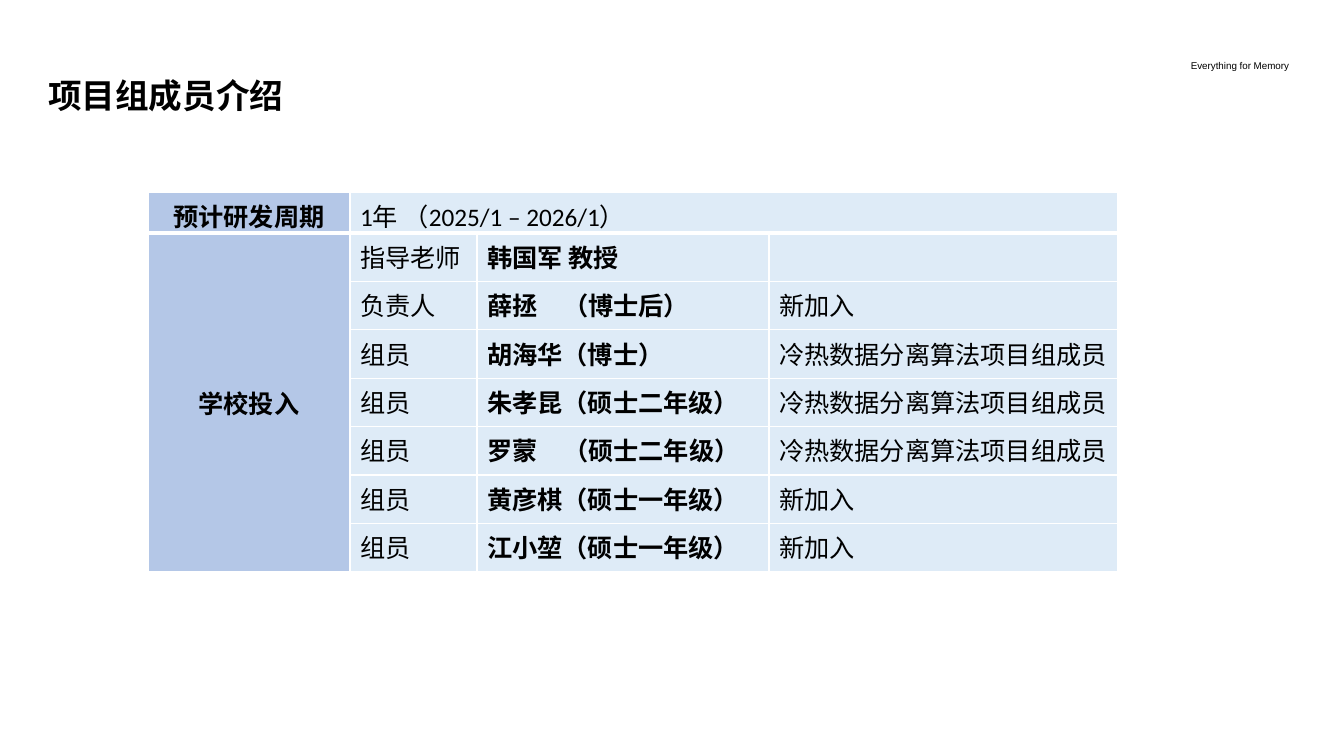
from pptx import Presentation
from pptx.dml.color import RGBColor
from pptx.enum.text import MSO_ANCHOR as Anchor, MSO_AUTO_SIZE as AutoSize, PP_ALIGN as Align
from pptx.oxml.ns import qn
from pptx.util import Emu, Pt
from lxml.etree import SubElement

SCALE = 914400 / 100.8
BLACK = RGBColor(0x00, 0x00, 0x00)
WHITE = RGBColor(0xFF, 0xFF, 0xFF)
HEAD_BLUE = RGBColor(0xB4, 0xC7, 0xE7)
PALE_BLUE = RGBColor(0xDE, 0xEB, 0xF7)
CJK = "Noto Sans CJK SC"

TITLE_FONT = {"name": CJK, "size": Pt(24), "bold": True}
SLOGAN_FONT = {"name": "Arial", "size": Pt(7), "bold": False}
PLAIN_FONT = {"name": "Calibri", "size": Pt(18), "bold": False}
BOLD_FONT = PLAIN_FONT | {"bold": True}

PERIOD = ("预计研发周期", "1年 （2025/1 – 2026/1）")
TEAM = "学校投入"
VETERAN = "冷热数据分离算法项目组成员"
NEWCOMER = "新加入"
MEMBERS = [
    ("指导老师", "韩国军 教授", ""),
    ("负责人", "薛拯\t（博士后）", NEWCOMER),
    ("组员", "胡海华（博士）", VETERAN),
    ("组员", "朱孝昆（硕士二年级）", VETERAN),
    ("组员", "罗蒙\t（硕士二年级）", VETERAN),
    ("组员", "黄彦棋（硕士一年级）", NEWCOMER),
    ("组员", "江小堃（硕士一年级）", NEWCOMER),
]
COLUMN_WIDTHS = (202, 127, 292, 349)
PERIOD_HEIGHT = 41
DEGREE_TAB = 76


def px(length):
    """Turn a length in px into EMU."""
    return Emu(round(length * SCALE))


def write(frame, text, formats, align=Align.LEFT):
    """Put one formatted run into the first paragraph of a text frame."""
    paragraph = frame.paragraphs[0]
    paragraph.alignment = align
    if "\t" in text:
        stops = SubElement(paragraph._p.get_or_add_pPr(), qn("a:tabLst"))
        SubElement(stops, qn("a:tab"), pos=str(px(DEGREE_TAB)), algn="l")
    run = paragraph.add_run()
    run.text = text
    for key, value in formats.items():
        setattr(run.font, key, value)
    run.font.color.rgb = BLACK
    SubElement(run._r.get_or_add_rPr(), qn("a:ea"), typeface=CJK)
    return paragraph


def add_title(slide, left, top, width, height):
    """Place the slide title in its box."""
    title = slide.shapes.title
    title.left, title.top, title.width, title.height = map(px, (left, top, width, height))
    title.text_frame.vertical_anchor = Anchor.MIDDLE
    write(title.text_frame, "项目组成员介绍", TITLE_FONT).line_spacing = 0.9


def add_slogan(slide, left, top, width, height):
    """Place the small slogan in its box."""
    frame = slide.shapes.add_textbox(*map(px, (left, top, width, height))).text_frame
    frame.auto_size = AutoSize.SHAPE_TO_FIT_TEXT
    write(frame, "Everything for Memory", SLOGAN_FONT)


def style_cell(cell, fill, thick_sides):
    """Give a cell white borders and a plain fill."""
    properties = cell._tc.get_or_add_tcPr()
    for side in "LRTB":
        weight = Pt(3 if side in thick_sides else 1)
        line = SubElement(properties, qn(f"a:ln{side}"), w=str(weight))
        paint = SubElement(line, qn("a:solidFill"))
        SubElement(paint, qn("a:srgbClr"), val=str(WHITE))
    cell.fill.solid()
    cell.fill.fore_color.rgb = fill


def add_team_table(slide, left, top, width, height):
    """Place the period and team table in its box."""
    rows = [(*PERIOD, "", "")] + [("", *member) for member in MEMBERS]
    rows[1] = (TEAM, *MEMBERS[0])
    table = slide.shapes.add_table(
        len(rows), len(COLUMN_WIDTHS), *map(px, (left, top, width, height))).table
    table.first_row = table.horz_banding = False
    for column, column_width in zip(table.columns, COLUMN_WIDTHS):
        column.width = px(column_width)
    for r, texts in enumerate(rows):
        table.rows[r].height = px((height - PERIOD_HEIGHT) / len(MEMBERS) if r else PERIOD_HEIGHT)
        for c, text in enumerate(texts):
            cell = table.cell(r, c)
            style_cell(cell, PALE_BLUE if c else HEAD_BLUE, {0: "B", 1: "T"}.get(r, ""))
            if text:
                bold = c == 0 or (c == 2 and r > 0)
                write(cell.text_frame, text, BOLD_FONT if bold else PLAIN_FONT,
                      Align.LEFT if c else Align.CENTER)
    table.cell(0, 1).merge(table.cell(0, 3))
    table.cell(1, 0).merge(table.cell(len(MEMBERS), 0))
    table.cell(1, 0).vertical_anchor = Anchor.MIDDLE


def main():
    """Build the slide and save it."""
    deck = Presentation()
    deck.slide_width, deck.slide_height = px(1344), px(756)
    slide = deck.slides.add_slide(deck.slide_layouts[5])
    add_slogan(slide, 1181, 55, 119, 22)
    add_title(slide, 38, 56, 1159, 84)
    add_team_table(slide, 148, 192, sum(COLUMN_WIDTHS), 380)
    deck.save("out.pptx")


if __name__ == "__main__":
    main()
